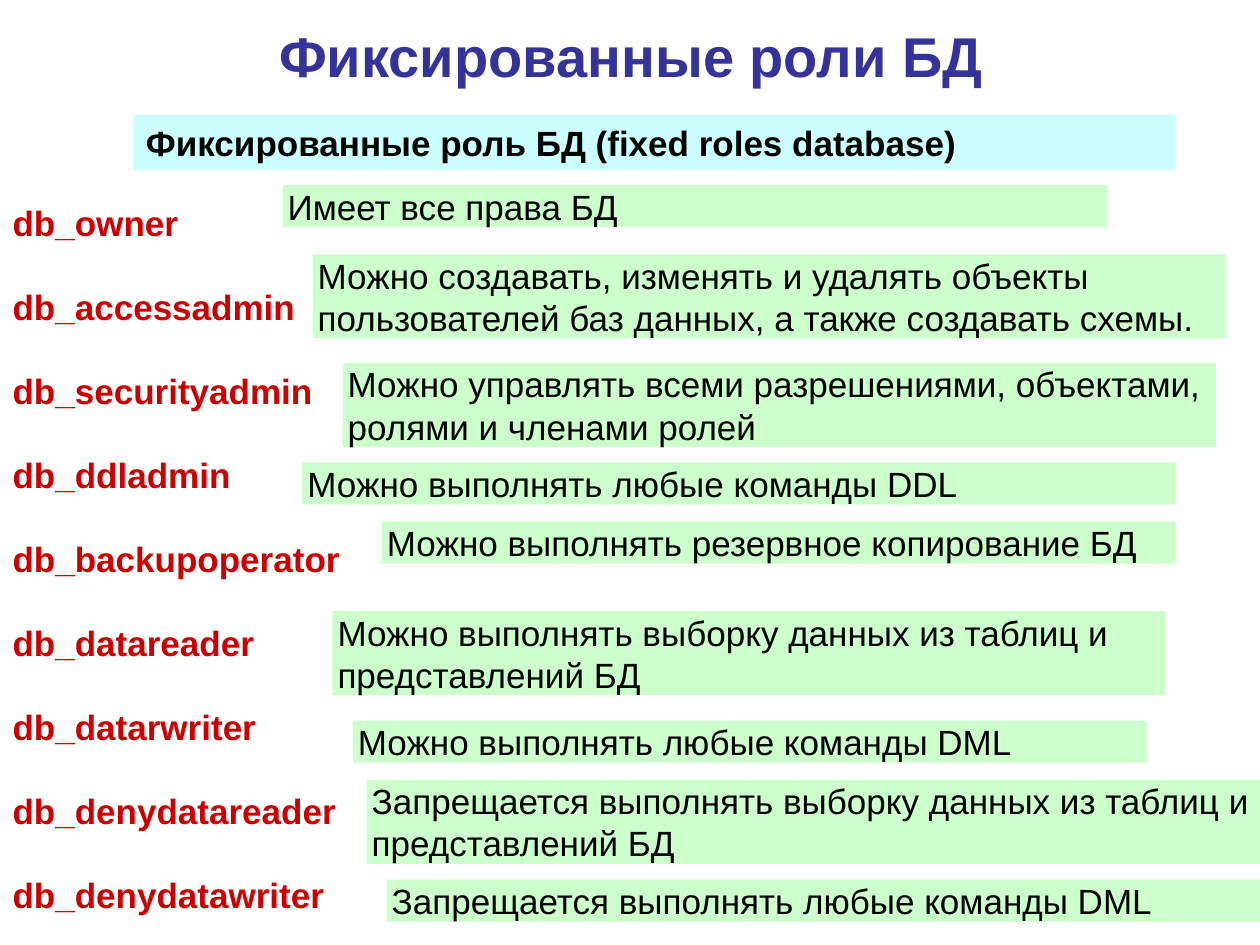
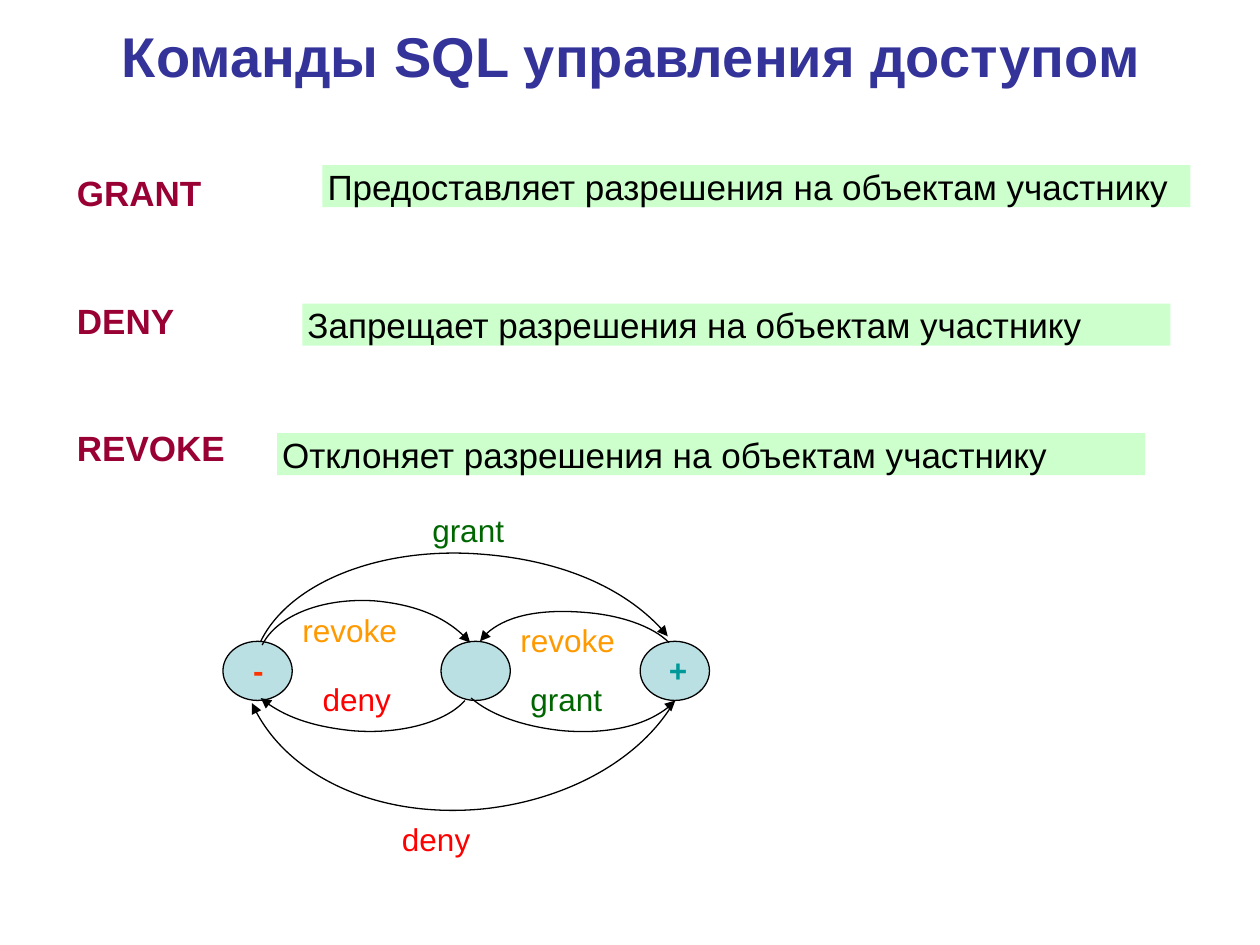
from lxml import etree
from pptx import Presentation
from pptx import util as u
from pptx.dml.color import RGBColor
from pptx.enum import shapes, text
from pptx.oxml.ns import qn

Pt = u.Pt
NAVY = RGBColor(0x33, 0x33, 0x99)
BLACK = RGBColor(0, 0, 0)
CRIMSON = RGBColor(0xCC, 0, 0)
MAROON = RGBColor(0x99, 0, 0x33)
PALE_CYAN = RGBColor(0xCC, 0xFF, 0xFF)
PALE_GREEN = RGBColor(0xCC, 0xFF, 0xCC)
NODE_BLUE = RGBColor(0xBB, 0xE0, 0xE3)
GREEN = RGBColor(0, 0x66, 0)
RED = RGBColor(0xFF, 0, 0)
ORANGE = RGBColor(0xFF, 0x99, 0)
MINUS_RED = RGBColor(0xFF, 0x33, 0)
PLUS_TEAL = RGBColor(0, 0x99, 0x99)


def write(sp, lines, size, color, bold=False, inset=(0, 0), gap=0, align=text.PP_ALIGN.LEFT,
          anchor=text.MSO_ANCHOR.TOP):
    """Fill a shape with formatted paragraphs; inset is (horizontal, vertical)."""
    tf = sp.text_frame
    frame = {"word_wrap": True, "auto_size": text.MSO_AUTO_SIZE.NONE, "vertical_anchor": anchor,
             "margin_left": Pt(inset[0]), "margin_right": Pt(inset[0]),
             "margin_top": Pt(inset[1]), "margin_bottom": Pt(inset[1])}
    for name, value in frame.items():
        setattr(tf, name, value)
    for i, line in enumerate(lines):
        p = tf.paragraphs[0] if i == 0 else tf.add_paragraph()
        pPr = p._p.get_or_add_pPr()
        pPr.set("marL", "0")
        pPr.set("indent", "0")
        etree.SubElement(pPr, qn("a:buNone"))
        for name, value in {"alignment": align, "line_spacing": Pt(size * 1.2),
                            "space_before": Pt(gap if i else 0), "space_after": Pt(0)}.items():
            setattr(p, name, value)
        r = p.add_run()
        r.text = line
        for name, value in {"name": "Arial", "size": Pt(size), "bold": bold}.items():
            setattr(r.font, name, value)
        r.font.color.rgb = color


def add_box(s, kind, x, y, w, h, color):
    """Add a preset shape with a plain fill and neither line nor shadow."""
    sp = s.shapes.add_shape(kind, Pt(x), Pt(y), Pt(w), Pt(h))
    sp.shadow.inherit = False
    sp.fill.solid()
    sp.fill.fore_color.rgb = color
    sp.line.fill.background()
    return sp


RECT, OVAL = shapes.MSO_SHAPE.RECTANGLE, shapes.MSO_SHAPE.OVAL
prs = Presentation()
prs.slide_width, prs.slide_height = Pt(720), Pt(540)

# Content of both slides: title, list (place, colour, gap), green notes (x, y, w, lines, text)
pages = [
    ("Фиксированные роли БД", (0, 111.6, 218, 415.5), CRIMSON, 24,
     ["db_owner", "db_accessadmin", "db_securityadmin", "db_ddladmin", "db_backupoperator",
      "db_datareader", "db_datarwriter", "db_denydatareader", "db_denydatawriter"],
     [(161.5, 105.8, 471, 1, "Имеет все права БД"),
      (178.6, 145.4, 521.5, 2, "Можно создавать, изменять и удалять объекты "
       "пользователей баз данных, а также создавать схемы."),
      (195.8, 207.4, 499, 2, "Можно управлять всеми разрешениями, объектами, "
       "ролями и членами ролей"),
      (172.8, 264.2, 499, 1, "Можно выполнять любые команды DDL"),
      (218.2, 298.1, 453.6, 1, "Можно выполнять резервное копирование БД"),
      (190, 349.2, 476, 2, "Можно выполнять выборку данных из таблиц и представлений БД"),
      (201.6, 411.8, 453.6, 1, "Можно выполнять любые команды DML"),
      (209.5, 445.7, 510.5, 2, "Запрещается выполнять выборку данных из таблиц и "
       "представлений БД"),
      (221, 502.6, 499, 1, "Запрещается выполнять любые команды DML")]),
    ("Команды SQL управления доступом", (36.7, 94.3, 158.4, 177), MAROON, 49,
     ["GRANT", "DENY", "REVOKE"],
     [(184.3, 94.3, 496, 1, "Предоставляет разрешения на объектам участнику"),
      (172.8, 173.5, 496, 1, "Запрещает разрешения на объектам участнику"),
      (158.4, 247.5, 496, 1, "Отклоняет разрешения на объектам участнику")]),
]

for title, place, color, gap, names, notes in pages:
    s = prs.slides.add_slide(prs.slide_layouts[1])
    for sp, spot in ((s.shapes.title, (36.7, 9.4, 648, 44)), (s.placeholders[1], place)):
        for side, value in zip(("left", "top", "width", "height"), spot):
            setattr(sp, side, Pt(value))
    write(s.shapes.title, [title], 32, NAVY, True, align=text.PP_ALIGN.CENTER,
          anchor=text.MSO_ANCHOR.MIDDLE)
    write(s.placeholders[1], names, 20, color, True, (7.2, 3.6), gap)
    for x, y, w, rows, note in notes:
        write(add_box(s, RECT, x, y, w, 24 * rows, PALE_GREEN), [note], 20, BLACK, inset=(2.9, 0))

# Slide 1: heading band
band = add_box(prs.slides[0], RECT, 76.3, 65.7, 595.4, 31.4, PALE_CYAN)
write(band, ["Фиксированные роль БД (fixed roles database)"], 20, BLACK, True, (7.2, 3.6))

# Slide 2: permission states
s = prs.slides[1]
for x in (127.4, 252, 365.8):
    state = add_box(s, OVAL, x, 366.5, 39.6, 33.8, NODE_BLUE)
    state.line.color.rgb = BLACK
    state.line.width = Pt(0.75)

# Transitions: a start point and two cubic curves each, with the end that has the arrowhead
inner_deny = [(149, 398.9), (160.6, 409), (180, 415.4), (201.6, 417.6),
              (229, 419.8), (254.9, 412.6), (265.7, 400.3)]
arcs = [
    ("tailEnd", [(149, 366.5), (165.6, 332.6), (218.2, 311.8), (276.5, 316.8),
                 (321.1, 320.4), (360.7, 337.7), (381.6, 363.6)]),
    ("headEnd", [(144, 401.8), (162, 442.8), (217.4, 468), (276.5, 462.2),
                 (322.6, 457.2), (362.9, 435.6), (383, 404.6)]),
    ("headEnd", [(274.3, 366.5), (282.2, 354.2), (306, 347.8), (333.4, 349.9),
                 (354.2, 351.4), (373, 357.8), (382.3, 367.2)]),
    ("tailEnd", [(149.8, 368.6), (158.4, 351.4), (185, 341.3), (214.6, 343.4),
                 (237.6, 345.6), (257.8, 354.2), (268.6, 367.2)]),
    ("headEnd", inner_deny),
    ("tailEnd", [(x + 120.2, y) for x, y in inner_deny]),
]
for end, points in arcs:
    points = [(Pt(x), Pt(y)) for x, y in points]
    builder = s.shapes.build_freeform(*points[0])
    builder.add_line_segments(points[1:], close=False)
    arc = builder.convert_to_shape()
    arc.shadow.inherit = False
    arc.fill.background()
    arc.line.color.rgb = BLACK
    arc.line.width = Pt(0.75)
    spPr = arc._element.spPr
    etree.SubElement(spPr.find(qn("a:ln")), qn("a:" + end), type="triangle", w="med", len="med")
    # Turn each three straight segments into one cubic curve
    outline = spPr.find(".//" + qn("a:path"))
    segments = outline.findall(qn("a:lnTo"))
    for i in range(0, len(segments), 3):
        curve = etree.SubElement(outline, qn("a:cubicBezTo"))
        for segment in segments[i:i + 3]:
            curve.append(segment[0])
            outline.remove(segment)

# State signs and transition labels
labels = [
    ("-", 144.7, 372.2, 6, MINUS_RED), ("+", 382.3, 372.2, 11, PLUS_TEAL),
    ("grant", 247, 292.3, 51, GREEN), ("grant", 303.1, 388.8, 51, GREEN),
    ("deny", 184.3, 388.8, 51, RED), ("deny", 229.7, 468.7, 51, RED),
    ("revoke", 172.8, 349.2, 62.6, ORANGE), ("revoke", 297.4, 355, 62.6, ORANGE),
]
for label, x, y, w, color in labels:
    sp = s.shapes.add_textbox(Pt(x), Pt(y), Pt(w), Pt(21.6))
    write(sp, [label], 18, color, label in "-+")

prs.save("out.pptx")
